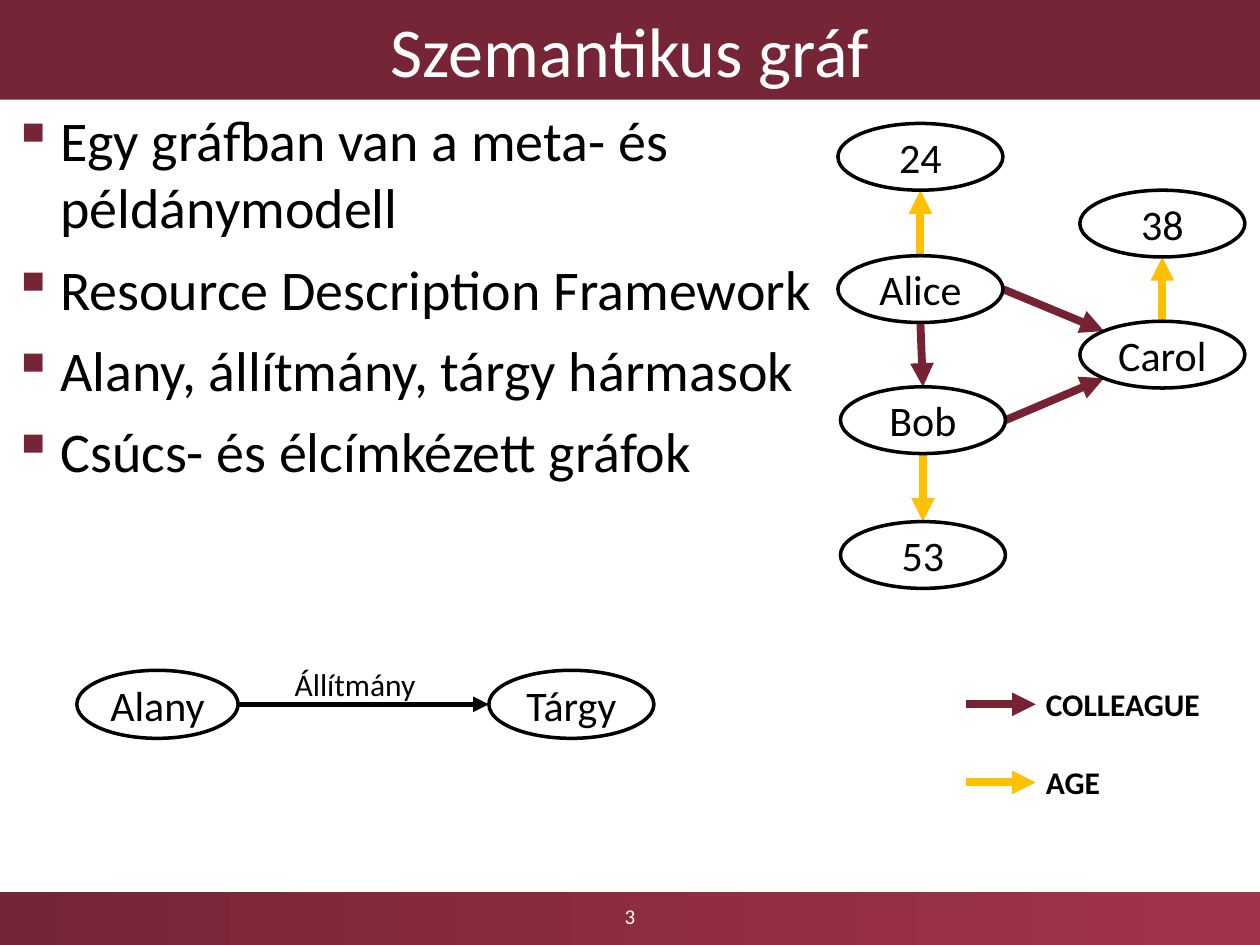
from lxml.etree import SubElement
from pptx import Presentation
from pptx.dml.color import RGBColor
from pptx.enum.shapes import MSO_CONNECTOR, MSO_SHAPE
from pptx.enum.text import MSO_ANCHOR, MSO_AUTO_SIZE, PP_ALIGN
from pptx.oxml.ns import qn
from pptx.util import Inches, Pt

FONT = "Calibri"
BURGUNDY = RGBColor(0x76, 0x25, 0x36)
CRIMSON = RGBColor(0xA3, 0x33, 0x4B)
COLLEAGUE = RGBColor(0x75, 0x22, 0x33)
AGE = RGBColor(0xFF, 0xC0, 0x00)
BLACK = RGBColor(0, 0, 0)
WHITE = RGBColor(0xFF, 0xFF, 0xFF)

NODE_W, NODE_H = 1.31, 0.53
# Connection points as fractions of a node's width and height
TOP, BOTTOM, LEFT, RIGHT = (0.5, 0), (0.5, 1), (0, 0.5), (1, 0.5)
UPPER_LEFT, LOWER_LEFT = (0.146, 0.146), (0.146, 0.854)

BULLETS = [
    "Egy gráfban van a meta- és példánymodell",
    "Resource Description Framework",
    "Alany, állítmány, tárgy hármasok",
    "Csúcs- és élcímkézett gráfok",
]
# Node positions relative to the graph's top left corner
PEOPLE = {
    "24": (0, 0),
    "Alice": (0, 1.05),
    "Bob": (0.02, 2.09),
    "53": (0.02, 3.16),
    "38": (1.92, 0.53),
    "Carol": (1.92, 1.57),
}
RELATIONS = [
    ("Alice", BOTTOM, "Bob", TOP, COLLEAGUE),
    ("Alice", RIGHT, "Carol", UPPER_LEFT, COLLEAGUE),
    ("Bob", RIGHT, "Carol", LOWER_LEFT, COLLEAGUE),
    ("Alice", TOP, "24", BOTTOM, AGE),
    ("Carol", TOP, "38", BOTTOM, AGE),
    ("Bob", BOTTOM, "53", TOP, AGE),
]


def set_font(paragraph, size, color, bold=False):
    font = paragraph.font
    font.name, font.size, font.bold = FONT, Pt(size), bold
    font.color.rgb = color


def clear_margins(frame):
    frame.margin_left = frame.margin_right = 0
    frame.margin_top = frame.margin_bottom = 0


def add_label(slide, text, box, size, color=BLACK, bold=False):
    label = slide.shapes.add_textbox(*map(Inches, box))
    frame = label.text_frame
    frame.word_wrap = True
    frame.text = text
    set_font(frame.paragraphs[0], size, color, bold)
    return frame


def add_arrow(slide, start, end, color, width=4.5):
    arrow = slide.shapes.add_connector(
        MSO_CONNECTOR.STRAIGHT, *map(Inches, (*start, *end)))
    arrow.line.color.rgb = color
    arrow.line.width = Pt(width)
    SubElement(arrow.line._get_or_add_ln(), qn("a:tailEnd"), type="triangle")
    SubElement(arrow._element.spPr, qn("a:effectLst"))


def add_node(slide, text, box):
    node = slide.shapes.add_shape(MSO_SHAPE.OVAL, *map(Inches, box))
    node.shadow.inherit = False
    node.fill.solid()
    node.fill.fore_color.rgb = WHITE
    node.line.color.rgb = BLACK
    node.line.width = Pt(2)
    frame = node.text_frame
    clear_margins(frame)
    frame.vertical_anchor = MSO_ANCHOR.MIDDLE
    frame.text = text
    frame.paragraphs[0].alignment = PP_ALIGN.CENTER
    set_font(frame.paragraphs[0], 24, BLACK)


def add_title(slide, text, box):
    title = slide.shapes.title
    title.left, title.top, title.width, title.height = map(Inches, box)
    title.fill.solid()
    title.fill.fore_color.rgb = BURGUNDY
    frame = title.text_frame
    frame.text = text
    frame.auto_size = MSO_AUTO_SIZE.NONE
    frame.vertical_anchor = MSO_ANCHOR.MIDDLE
    frame.paragraphs[0].alignment = PP_ALIGN.CENTER
    set_font(frame.paragraphs[0], 40, WHITE)


def add_footer(slide, number, box):
    band = slide.shapes.add_shape(MSO_SHAPE.RECTANGLE, *map(Inches, box))
    band.shadow.inherit = False
    band.line.fill.background()
    band.fill.gradient()
    band.fill.gradient_angle = 0
    for stop, color in zip(band.fill.gradient_stops, (BURGUNDY, CRIMSON)):
        stop.color.rgb = color
    left, top, width, _ = box
    frame = add_label(slide, number, (left + (width - 2.25) / 2, top - 0.01, 2.25, 0.4),
                      12, WHITE)
    frame.vertical_anchor = MSO_ANCHOR.MIDDLE
    frame.paragraphs[0].alignment = PP_ALIGN.CENTER


def add_bullets(slide, items, box):
    frame = slide.shapes.add_textbox(*map(Inches, box)).text_frame
    frame.word_wrap = True
    for index, item in enumerate(items):
        paragraph = frame.add_paragraph() if index else frame.paragraphs[0]
        paragraph.text = item
        paragraph.space_before = Pt(8 if index else 0)
        properties = paragraph._p.get_or_add_pPr()
        properties.set("marL", str(Inches(0.38)))
        properties.set("indent", str(-Inches(0.38)))
        bullet_color = SubElement(properties, qn("a:buClr"))
        SubElement(bullet_color, qn("a:srgbClr"), val=str(BURGUNDY))
        SubElement(properties, qn("a:buChar"), char="▪")
        set_font(paragraph, 32, BLACK)


def add_graph(slide, left, top):
    def point(name, site):
        x, y = PEOPLE[name]
        return left + x + site[0] * NODE_W, top + y + site[1] * NODE_H

    for source, source_site, target, target_site, color in RELATIONS:
        add_arrow(slide, point(source, source_site), point(target, target_site), color)
    for name, (x, y) in PEOPLE.items():
        add_node(slide, name, (left + x, top + y, NODE_W, NODE_H))


def add_triple(slide, left, top):
    """Show the subject, predicate and object pattern."""
    subject_w, object_x, height = 1.28, 3.27, 0.54
    middle = top + height / 2
    add_node(slide, "Alany", (left, top, subject_w, height))
    add_node(slide, "Tárgy", (left + object_x, top, NODE_W, height))
    add_arrow(slide, (left + subject_w, middle), (left + object_x, middle), BLACK, 3)
    add_label(slide, "Állítmány", (left + 1.63, top - 0.09, 1.63, 0.4), 18)


def add_legend(slide, left, top):
    for row, (name, color) in enumerate((("COLLEAGUE", COLLEAGUE), ("AGE", AGE))):
        y = top + row * 0.62
        add_arrow(slide, (left, y + 0.15), (left + 0.55, y + 0.15), color)
        clear_margins(add_label(slide, name, (left + 0.63, y, 1.48, 0.3), 18, bold=True))


def main():
    presentation = Presentation()
    presentation.slide_width, presentation.slide_height = Inches(10), Inches(7.5)
    slide = presentation.slides.add_slide(presentation.slide_layouts[5])
    add_footer(slide, "3", (0, 7.08, 10, 0.42))
    add_title(slide, "Szemantikus gráf", (0, 0, 10, 0.79))
    add_bullets(slide, BULLETS, (0, 0.79, 6.75, 3.16))
    add_graph(slide, 6.65, 0.98)
    add_legend(slide, 7.67, 5.44)
    add_triple(slide, 0.61, 5.32)
    presentation.save("out.pptx")


if __name__ == "__main__":
    main()
